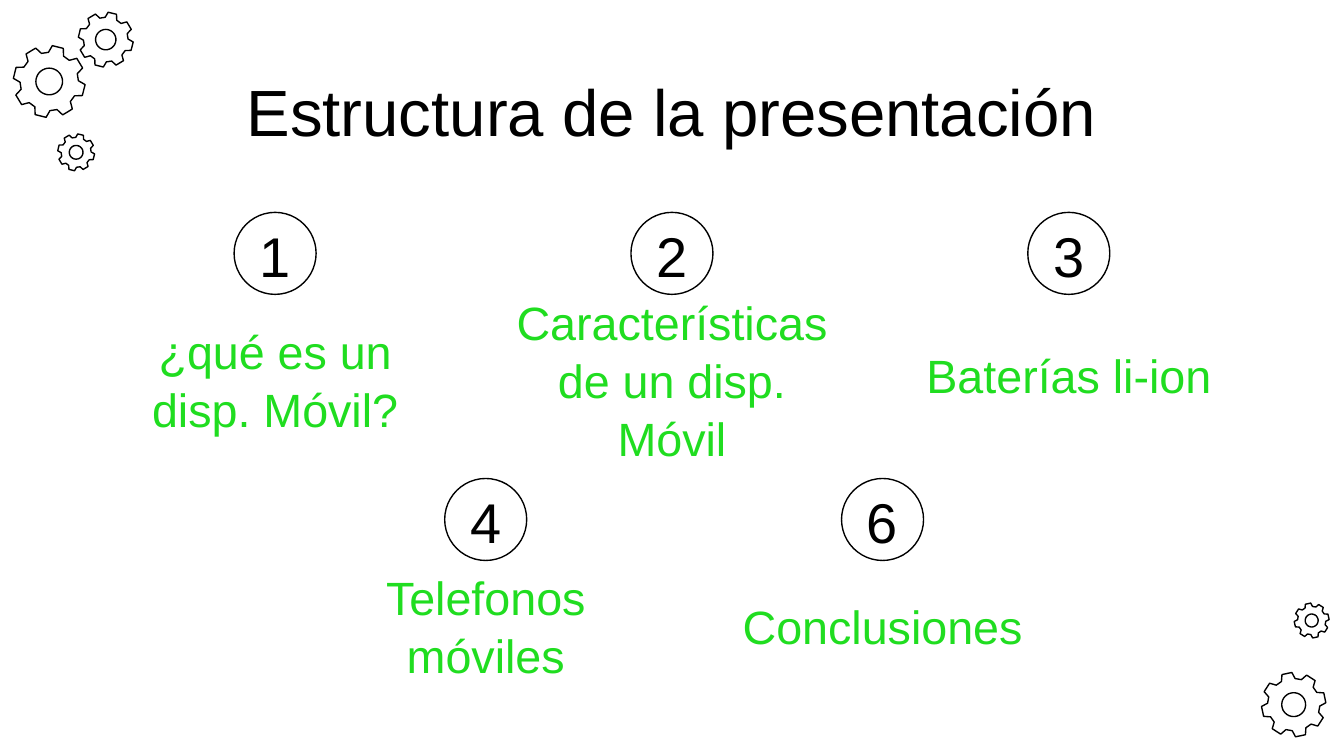
from dataclasses import dataclass
from math import cos, radians, sin

from pptx import Presentation
from pptx.dml.color import RGBColor
from pptx.enum.shapes import MSO_SHAPE
from pptx.enum.text import MSO_ANCHOR, PP_ALIGN
from pptx.util import Cm, Pt

BLACK = RGBColor(0, 0, 0)
WHITE = RGBColor(255, 255, 255)
GREEN = RGBColor(0x20, 0xDD, 0x20)

MID = 12.7     # centre of the slide
STEP = 7.5     # between columns
DISC = 1.55    # width of a number circle
TEETH = 8
TILT = -26.3   # turn of the lower gears

FRAME = dict(word_wrap=True, vertical_anchor=MSO_ANCHOR.MIDDLE,
             margin_left=0, margin_right=0, margin_top=0, margin_bottom=0)
PARA = dict(alignment=PP_ALIGN.CENTER, line_spacing=1.04)


@dataclass
class Gear:
    x: float
    y: float
    size: float
    turn: float = 0


@dataclass
class Topic:
    num: str
    text: str
    x: float
    y: float
    text_y: float


# Centres and sizes in centimetres
GEARS = [
    Gear(2.0, 0.75, 0.52),
    Gear(1.44, 2.88, 0.35),
    Gear(0.93, 1.54, 0.68),
    Gear(24.79, 11.73, 0.33, TILT),
    Gear(24.45, 13.32, 0.61, TILT),
]

LEFT = 9.18    # first column of the lower row
TOPICS = [
    Topic("1", "¿qué es un disp. Móvil?", MID - STEP, 4.79, 7.16),
    Topic("2", "Características de un disp. Móvil", MID, 4.79, 7.16),
    Topic("3", "Baterías li-ion", MID + STEP, 4.79, 7.06),
    Topic("4", "Telefonos móviles", LEFT, 9.82, 11.81),
    Topic("6", "Conclusiones", LEFT + STEP, 9.82, 11.81),
]


def apply(item, form: dict) -> None:
    for key, value in form.items():
        setattr(item, key, value)


def outline(shape) -> None:
    shape.shadow.inherit = False
    shape.line.color.rgb = BLACK
    shape.line.width = Pt(0.75)


def polar(gear: Gear, size: float, angle: float) -> tuple[int, int]:
    turn = radians(angle)
    return Cm(gear.x + size * cos(turn)), Cm(gear.y + size * sin(turn))


def draw_gear(shapes, gear: Gear) -> None:
    # Each tooth rises from a wide root to a narrow tip
    tooth = [(-15.5, 0.81), (-9, 1), (9, 1), (15.5, 0.81)]
    rim = [polar(gear, gear.size * part, -76 + 360 / TEETH * i + off)
           for i in range(TEETH) for off, part in tooth]
    hole = [polar(gear, gear.size * 0.37, -a) for a in range(0, 360, 10)]
    pen = shapes.build_freeform(*rim[0], scale=1.0)
    pen.add_line_segments(rim[1:], close=True)
    pen.move_to(*hole[0])
    pen.add_line_segments(hole[1:], close=True)
    shape = pen.convert_to_shape()
    shape.fill.background()
    shape.rotation = gear.turn
    outline(shape)


def draw_disc(shapes, topic: Topic) -> None:
    disc = shapes.add_shape(MSO_SHAPE.OVAL, Cm(topic.x - DISC / 2),
                            Cm(topic.y - DISC / 2), Cm(DISC), Cm(DISC))
    disc.fill.solid()
    disc.fill.fore_color.rgb = WHITE
    outline(disc)


def draw_text(shapes, text: str, x: float, y: float, wide: float,
              high: float, size: float, color: RGBColor) -> None:
    """Centre a text box on x, y."""
    box = shapes.add_textbox(Cm(x - wide / 2), Cm(y - high / 2),
                             Cm(wide), Cm(high))
    frame = box.text_frame
    apply(frame, FRAME)
    para = frame.paragraphs[0]
    apply(para, PARA)
    run = para.add_run()
    run.text = text
    apply(run.font, dict(name="Arial", size=Pt(size)))
    run.font.color.rgb = color


def main() -> None:
    deck = Presentation()
    deck.slide_width, deck.slide_height = Cm(25.4), Cm(14.29)
    shapes = deck.slides.add_slide(deck.slide_layouts[6]).shapes

    # Corner gears
    for gear in GEARS:
        draw_gear(shapes, gear)

    # Title
    draw_text(shapes, "Estructura de la presentación",
              MID, 2.05, 21.4, 1.6, 35, BLACK)

    # Numbered topics
    for topic in TOPICS:
        draw_disc(shapes, topic)
        draw_text(shapes, topic.num, topic.x, topic.y, DISC, 1.14, 30, BLACK)
        draw_text(shapes, topic.text, topic.x, topic.text_y,
                  6.4, 1.47, 25, GREEN)

    deck.save("out.pptx")


if __name__ == "__main__":
    main()
